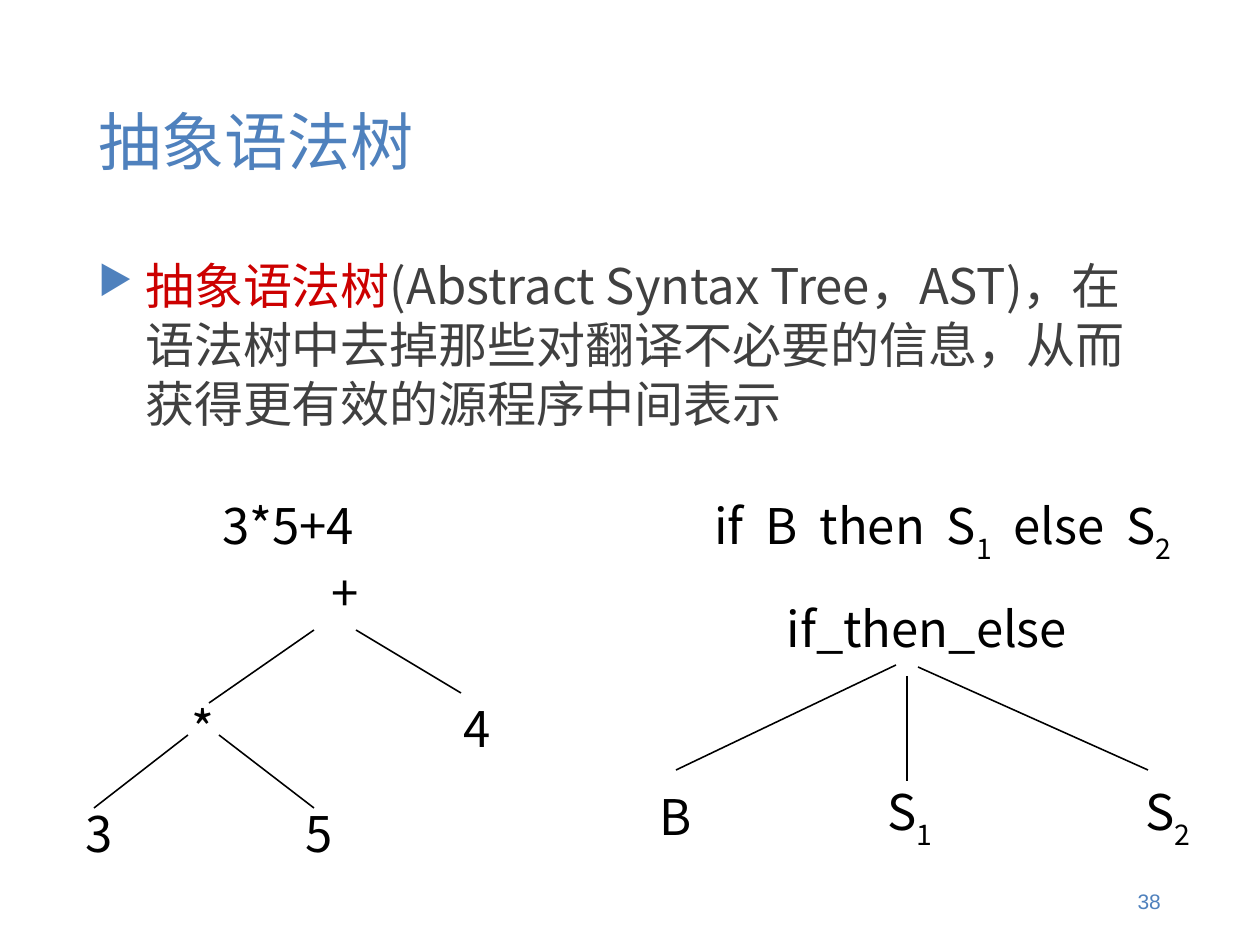
from lxml.etree import SubElement
from pptx import Presentation
from pptx.dml.color import RGBColor
from pptx.enum.shapes import MSO_CONNECTOR
from pptx.enum.text import MSO_ANCHOR, PP_ALIGN
from pptx.oxml.ns import qn
from pptx.util import Emu, Pt

# Content
TITLE = "抽象语法树"
BODY = [
    ("抽象语法树", "red"),
    ("(Abstract Syntax Tree，AST)，在语法树中去掉那些对翻译不必要的信息，"
     "从而获得更有效的源程序中间表示", "gray"),
]
PAGE = "38"
# Labels: text, centre x, centre y; "~" starts a subscript
LABELS = [
    ("3*5+4", 288, 525), ("+", 345, 592), ("*", 203, 728), ("4", 477, 728),
    ("3", 99, 833), ("5", 319, 833),
    ("if B then S~1 else S~2", 943, 530), ("if_then_else", 927, 628),
    ("B", 676, 816), ("S~1", 910, 816), ("S~2", 1168, 816),
]
# Branches: x, y at the parent, then at the child
LINES = [
    (314, 630, 209, 703), (356, 630, 461, 693),
    (188, 735, 94, 808), (219, 735, 314, 808),
    (896, 665, 676, 770), (907, 676, 907, 781), (918, 667, 1148, 770),
]

# Style
COLORS = {"blue": "4F81BD", "red": "CC0000", "gray": "404040", "black": "000000"}
SANS = "Noto Sans CJK SC"
SIZE = 30.9
GAP = 690  # extra width of a word gap, 1/100 pt
LABEL_H = 74
SCALE = 8000  # EMU in one px


def px(n):
    return Emu(n * SCALE)


def rgb(name):
    return RGBColor.from_string(COLORS[name])


def style(run, color, size=SIZE, face=SANS):
    run.font.size = Pt(size)
    run.font.name = face
    run.font.color.rgb = rgb(color)
    SubElement(run._r.get_or_add_rPr(), qn("a:ea"), typeface=face)


def add_box(x, y, w, h, wrap=True, anchor=MSO_ANCHOR.MIDDLE):
    frame = slide.shapes.add_textbox(px(x), px(y), px(w), px(h)).text_frame
    frame.word_wrap = wrap
    frame.vertical_anchor = anchor
    return frame


def add_run(para, text, color, **props):
    run = para.add_run()
    run.text = text
    style(run, color)
    for key, value in props.items():
        run._r.get_or_add_rPr().set(key, str(value))


def add_label(text, x, y):
    width = 70 + 22 * len(text)
    frame = add_box(x - width // 2, y - LABEL_H // 2, width, LABEL_H, wrap=False)
    para = frame.paragraphs[0]
    para.alignment = PP_ALIGN.CENTER
    for i, word in enumerate(text.split()):
        if i:
            add_run(para, " ", "black", spc=GAP)
        base, _, sub = word.partition("~")
        add_run(para, base, "black")
        if sub:
            add_run(para, sub, "black", baseline=-30000)


def add_line(x1, y1, x2, y2):
    line = slide.shapes.add_connector(
        MSO_CONNECTOR.STRAIGHT, px(x1), px(y1), px(x2), px(y2))
    line.line.color.rgb = rgb("black")
    line.line.width = Pt(1)
    SubElement(line._element.spPr, qn("a:effectLst"))


deck = Presentation()
deck.slide_width = px(1260)
deck.slide_height = px(945)
slide = deck.slides.add_slide(deck.slide_layouts[6])

# Title
frame = add_box(87, 49, 1087, 183)
frame.text = TITLE
style(frame.paragraphs[0].runs[0], "blue", 39.7)

# Definition with its bullet
para = add_box(87, 250, 1087, 600, anchor=MSO_ANCHOR.TOP).paragraphs[0]
props = para._p.get_or_add_pPr()
props.set("marL", str(px(47)))
props.set("indent", str(-px(47)))
SubElement(SubElement(props, qn("a:buClr")), qn("a:srgbClr"), val=COLORS["blue"])
SubElement(props, qn("a:buSzPct"), val="80000")
SubElement(props, qn("a:buChar"), char="▶")
para.line_spacing = Pt(37.2)
for text, color in BODY:
    add_run(para, text, color)

# Two syntax trees
for line in LINES:
    add_line(*line)
for label in LABELS:
    add_label(*label)

# Page number
frame = add_box(889, 876, 283, 50)
frame.text = PAGE
frame.paragraphs[0].alignment = PP_ALIGN.RIGHT
style(frame.paragraphs[0].runs[0], "blue", 13.2, "Arial")

deck.save("out.pptx")
